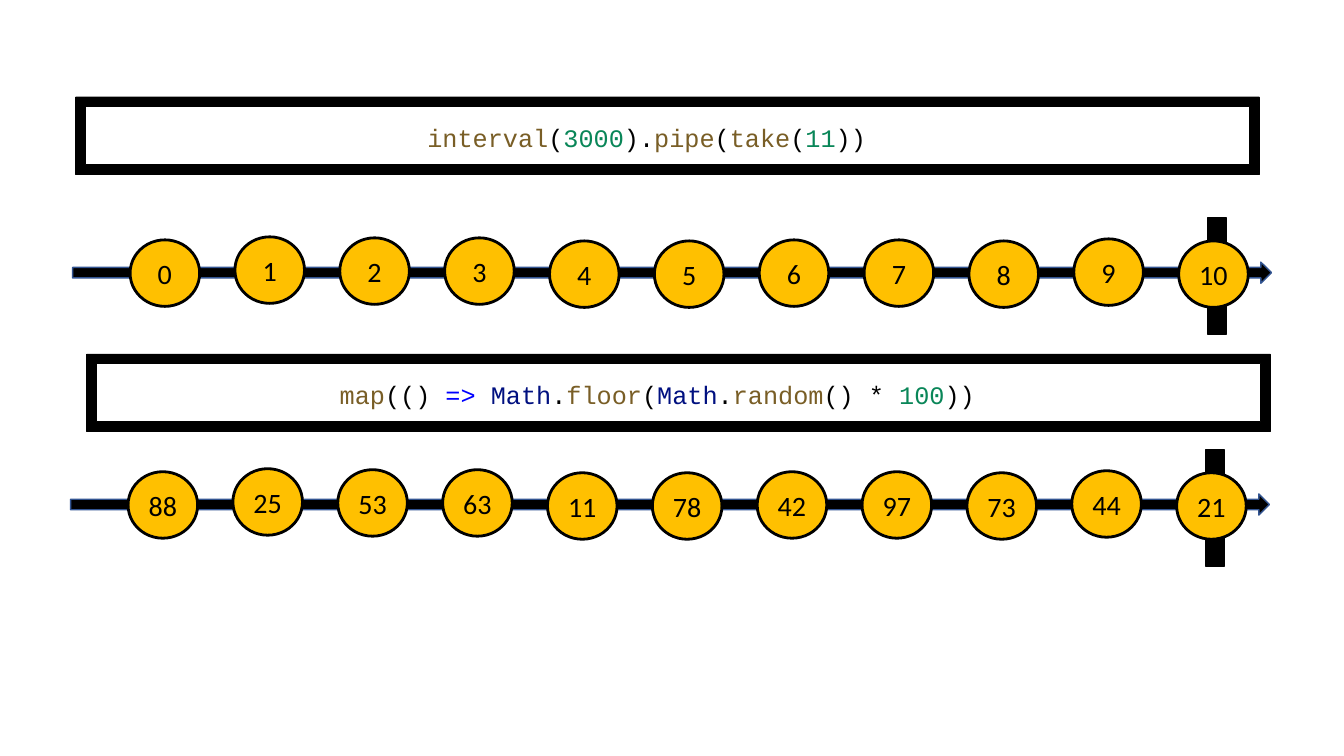
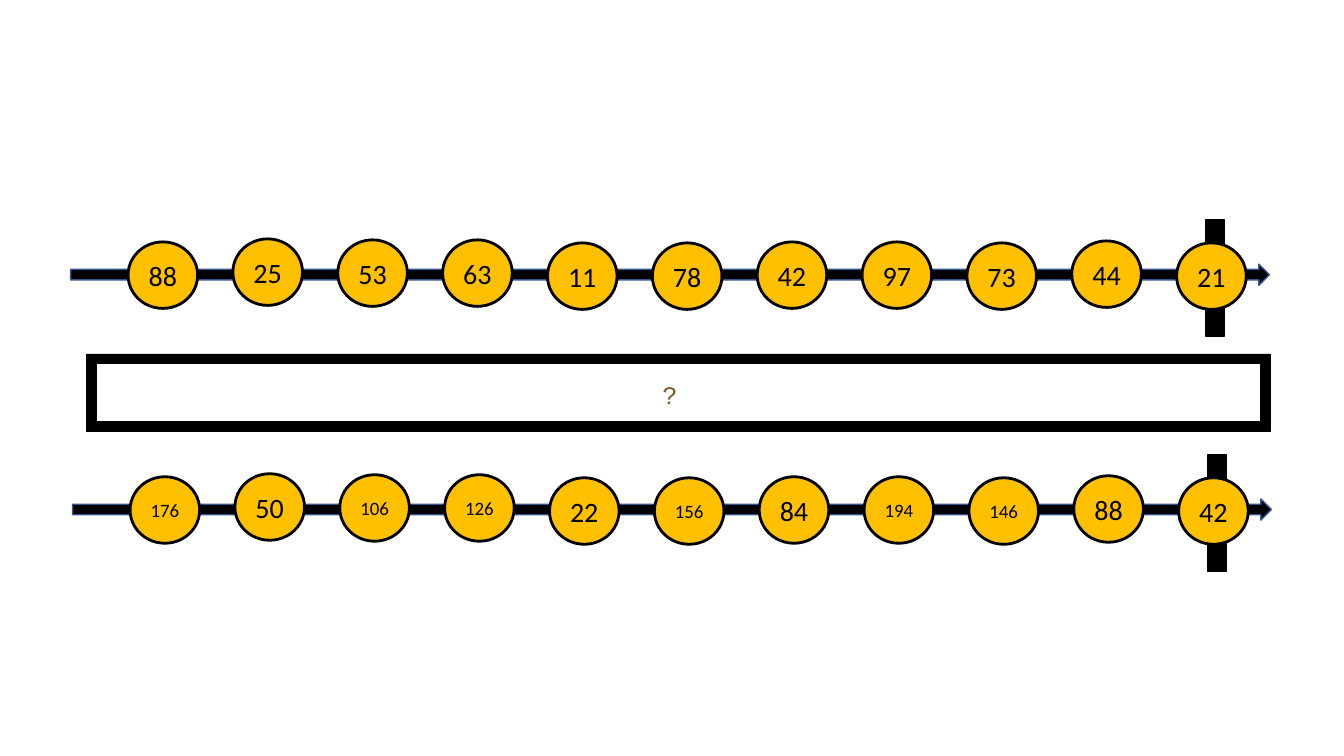
from pptx import Presentation
from pptx.dml.color import RGBColor
from pptx.enum.shapes import MSO_SHAPE
from pptx.enum.text import MSO_ANCHOR, PP_ALIGN
from pptx.util import Inches, Pt

ARROW, OVAL = MSO_SHAPE.RIGHT_ARROW, MSO_SHAPE.OVAL
RECT, FRAME = MSO_SHAPE.RECTANGLE, MSO_SHAPE.FRAME
CENTER, MIDDLE = PP_ALIGN.CENTER, MSO_ANCHOR.MIDDLE

BLACK = RGBColor(0x00, 0x00, 0x00)
AMBER = RGBColor(0xFF, 0xC0, 0x00)
ARROW_EDGE = RGBColor(0x32, 0x54, 0x91)
FUNC = RGBColor(0x79, 0x5E, 0x26)
NUMBER = RGBColor(0x09, 0x86, 0x58)
KEYWORD = RGBColor(0x00, 0x00, 0xFF)
OBJECT = RGBColor(0x00, 0x10, 0x80)

TEXT_FONT, CODE_FONT = "Calibri", "Courier New"

# Timeline grid, in inches from the timeline's left and top
LINE_W, LINE_H, LINE_TOP = 11.89, 0.21, 0.44
STOP_LEFT, STOP_W, STOP_H = 11.26, 0.18, 1.16
MARBLE_LEFT, MARBLE_PITCH, MARBLE_W, MARBLE_H = 0.57, 1.04, 0.69, 0.66
MARBLE_TOPS = (0.22, 0.19, 0.2, 0.2, 0.23, 0.23, 0.22, 0.22, 0.23, 0.21, 0.23)

# Operator frame
FRAME_W, FRAME_H, CODE_TOP, CODE_H = 11.74, 0.77, 0.2, 0.4

RANDOM_VALUES = (88, 25, 53, 63, 11, 78, 42, 97, 73, 44, 21)

INTERVAL_CODE = (
    ("interval", FUNC), ("(", BLACK), ("3000", NUMBER), (").", BLACK),
    ("pipe", FUNC), ("(", BLACK), ("take", FUNC), ("(", BLACK),
    ("11", NUMBER), ("))", BLACK),
)
MAP_CODE = (
    ("map", FUNC), ("(() ", BLACK), ("=> ", KEYWORD), ("Math", OBJECT),
    (".", BLACK), ("floor", FUNC), ("(", BLACK), ("Math", OBJECT),
    (".", BLACK), ("random", FUNC), ("() * ", BLACK), ("100", NUMBER),
    ("))", BLACK),
)
UNKNOWN_CODE = (("?", FUNC),)


def add_run(p, text, font, size, color):
    """Append one formatted run to a paragraph."""
    r = p.add_run()
    r.text = text
    r.font.name = font
    r.font.size = Pt(size)
    r.font.color.rgb = color


def add_block(slide, kind, box, fill, edge, weight):
    """Add a flat preset shape in box (left, top, width, height)."""
    sp = slide.shapes.add_shape(kind, *map(Inches, box))
    sp.shadow.inherit = False
    sp.fill.solid()
    sp.fill.fore_color.rgb = fill
    sp.line.color.rgb = edge
    sp.line.width = Pt(weight)
    return sp


def add_marble(slide, left, top, value):
    """Add one emitted value; three digits take smaller type."""
    box = (left, top, MARBLE_W, MARBLE_H)
    tf = add_block(slide, OVAL, box, AMBER, BLACK, 2).text_frame
    tf.word_wrap = False
    tf.vertical_anchor = MIDDLE
    p = tf.paragraphs[0]
    p.alignment = CENTER
    add_run(p, str(value), TEXT_FONT, 20 if value < 100 else 13.5, BLACK)


def add_timeline(slide, left, top, values):
    """Add an arrow with its completion bar and a marble per value."""
    add_block(slide, ARROW, (left, top + LINE_TOP, LINE_W, LINE_H),
              BLACK, ARROW_EDGE, 1)
    add_block(slide, RECT, (left + STOP_LEFT, top, STOP_W, STOP_H),
              BLACK, BLACK, 1)
    for i, (value, drop) in enumerate(zip(values, MARBLE_TOPS)):
        add_marble(slide, left + MARBLE_LEFT + i * MARBLE_PITCH,
                   top + drop, value)


def add_operator(slide, left, top, code, indent, width):
    """Add a frame holding one line of coloured code."""
    add_block(slide, FRAME, (left, top, FRAME_W, FRAME_H),
              BLACK, BLACK, 0.25)
    box = (left + indent, top + CODE_TOP, width, CODE_H)
    tf = slide.shapes.add_textbox(*map(Inches, box)).text_frame
    tf.word_wrap = True
    for text, color in code:
        add_run(tf.paragraphs[0], text, CODE_FONT, 18, color)


def add_random_slide(prs):
    """Build the slide that maps an interval to random numbers."""
    slide = prs.slides.add_slide(prs.slide_layouts[6])
    add_operator(slide, 0.75, 0.96, INTERVAL_CODE, 3.39, 4.66)
    add_timeline(slide, 0.72, 2.16, range(11))
    add_operator(slide, 0.86, 3.51, MAP_CODE, 2.41, 6.79)
    add_timeline(slide, 0.7, 4.46, RANDOM_VALUES)


def add_question_slide(prs):
    """Build the slide that asks which operator doubles the values."""
    slide = prs.slides.add_slide(prs.slide_layouts[6])
    add_timeline(slide, 0.7, 2.18, RANDOM_VALUES)
    add_operator(slide, 0.86, 3.51, UNKNOWN_CODE, 5.61, 0.39)
    add_timeline(slide, 0.72, 4.51, [2 * v for v in RANDOM_VALUES])


prs = Presentation()
prs.slide_width, prs.slide_height = Inches(13.33), Inches(7.5)
add_random_slide(prs)
add_question_slide(prs)
prs.save("out.pptx")
